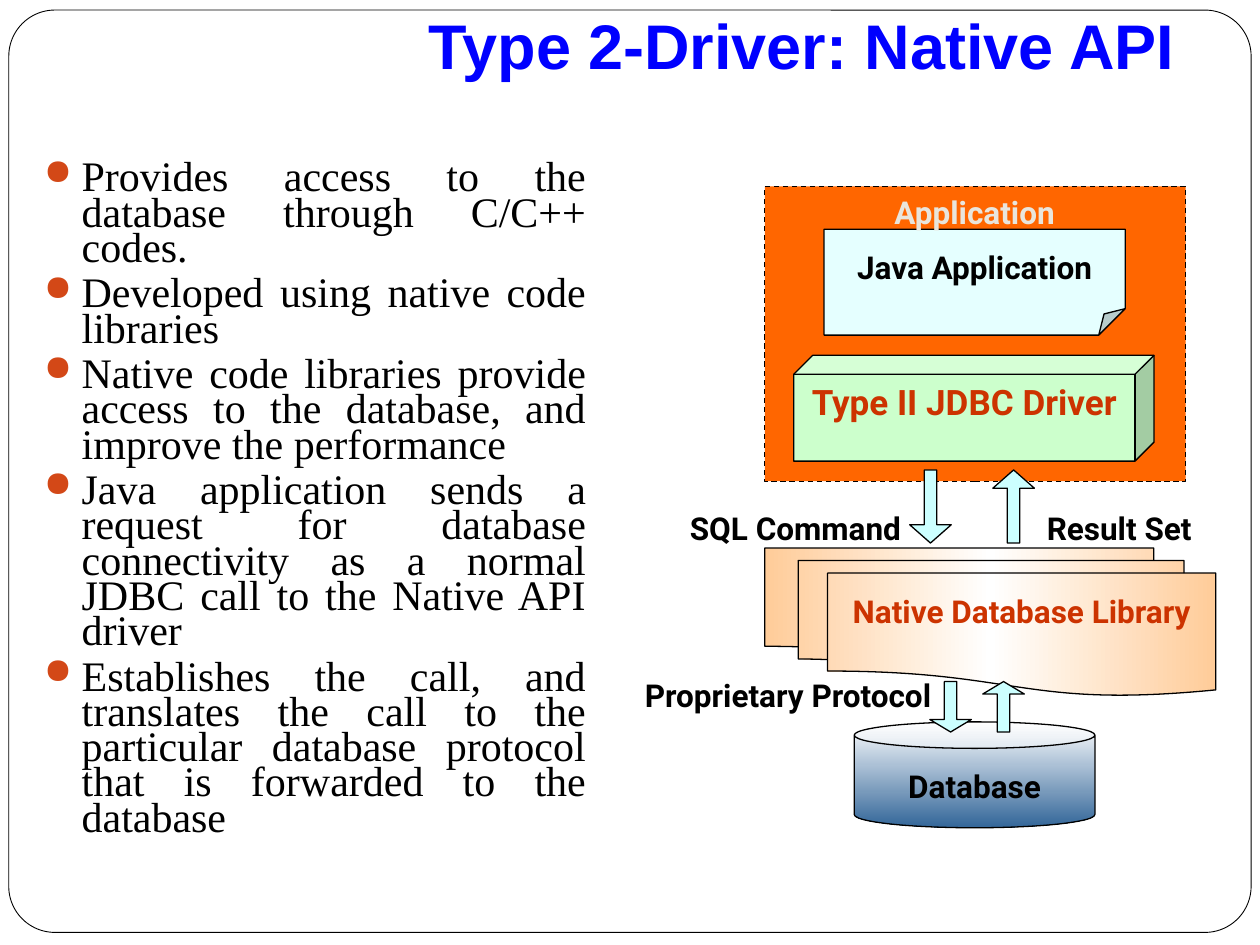
from dataclasses import dataclass
from typing import Optional

from lxml.etree import SubElement
from pptx import Presentation
from pptx.dml.color import RGBColor
from pptx.enum.dml import MSO_LINE
from pptx.enum.shapes import MSO_SHAPE as Shp
from pptx.enum.text import MSO_ANCHOR as Anchor, PP_ALIGN as Align
from pptx.oxml.ns import qn
from pptx.util import Emu, Inches, Pt

COLS, ROWS = 100, 75  # grid laid over the slide


@dataclass(frozen=True)
class Theme:
    black: str = "000000"
    white: str = "FFFFFF"
    title: str = "0000FF"
    bullet: str = "D34817"
    accent: str = "CC3300"
    muted: str = "E9E5DC"
    app: str = "FF6600"
    note: str = "E5FFFF"
    driver: str = "CCFFCC"
    arrow: str = "CCFFFF"
    library: tuple = ("FFCC99", "FFFFFF", "FFCC99")
    database: tuple = ("FFFFFF", "336699")
    head_font: str = "Arial"
    body_font: str = "Times New Roman"
    label_font: str = "Roboto"
    title_size: int = 36
    body_size: int = 24
    driver_size: int = 20
    label_size: int = 18


T = Theme()


@dataclass(frozen=True)
class Box:
    col: float
    row: float
    cols: float
    rows: float


@dataclass(frozen=True)
class Label:
    text: str
    color: str = T.black
    size: int = T.label_size
    align: Align = Align.CENTER
    top: float = 0.05  # inset in inches


@dataclass(frozen=True)
class Node:
    kind: Shp
    box: Box
    fill: str | tuple
    label: Optional[Label] = None
    adj: tuple = ()
    angle: int = 0
    flip: str = ""
    dashed: bool = False
    weight: float = 0.75


def rgb(color: str) -> RGBColor:
    return RGBColor.from_string(color)


def place(prs, box: Box) -> tuple:
    dx, dy = prs.slide_width / COLS, prs.slide_height / ROWS
    return tuple(Emu(round(n)) for n in
                 (box.col * dx, box.row * dy, box.cols * dx, box.rows * dy))


def add_run(p, text: str, font: str, size: int, color: str, bold: bool = True) -> None:
    r = p.add_run()
    r.text = text
    r.font.name, r.font.size, r.font.bold = font, Pt(size), bold
    r.font.color.rgb = rgb(color)


def write_label(tf, label: Label) -> None:
    tf.word_wrap = True
    tf.vertical_anchor = Anchor.TOP
    tf.margin_top = Inches(label.top)
    p = tf.paragraphs[0]
    p.alignment = label.align
    add_run(p, label.text, T.label_font, label.size, label.color)


def set_gradient(s, colors: tuple, angle: int) -> None:
    s.fill.gradient()
    s.fill.gradient_angle = angle
    stops = s.element.spPr.find(".//" + qn("a:gsLst"))
    for stop in list(stops):
        stops.remove(stop)
    for i, color in enumerate(colors):
        stop = SubElement(stops, qn("a:gs"), pos=str(i * 100000 // (len(colors) - 1)))
        SubElement(stop, qn("a:srgbClr"), val=color)


def set_adjustments(s, values: tuple) -> None:
    # Written as XML because the folded corner exposes no adjustments
    guides = s.element.spPr.find(".//" + qn("a:avLst"))
    for guide in list(guides):
        guides.remove(guide)
    for i, value in enumerate(values, 1):
        name = f"adj{i}" if len(values) > 1 else "adj"
        SubElement(guides, qn("a:gd"), name=name, fmla=f"val {round(value * 100000)}")


def draw_node(prs, slide, node: Node) -> None:
    s = slide.shapes.add_shape(node.kind, *place(prs, node.box))
    s.shadow.inherit = False
    if node.adj:
        set_adjustments(s, node.adj)
    if isinstance(node.fill, tuple):
        set_gradient(s, node.fill, node.angle)
    else:
        s.fill.solid()
        s.fill.fore_color.rgb = rgb(node.fill)
    s.line.color.rgb = rgb(T.black)
    s.line.width = Pt(node.weight)
    if node.dashed:
        s.line.dash_style = MSO_LINE.DASH
    if node.flip:
        s.element.spPr.find(qn("a:xfrm")).set(node.flip, "1")
    if node.label:
        write_label(s.text_frame, node.label)


def draw_label(prs, slide, box: Box, label: Label) -> None:
    write_label(slide.shapes.add_textbox(*place(prs, box)).text_frame, label)


def draw_title(prs, slide, text: str) -> None:
    tf = slide.shapes.add_textbox(*place(prs, Box(10, 0, 84.2, 7.5))).text_frame
    tf.word_wrap = True
    tf.vertical_anchor = Anchor.BOTTOM
    tf.margin_bottom = Inches(0.1)
    p = tf.paragraphs[0]
    p.alignment = Align.RIGHT
    add_run(p, text, T.head_font, T.title_size, T.title)


def draw_bullets(prs, slide, items: tuple) -> None:
    tf = slide.shapes.add_textbox(*place(prs, Box(2.5, 12.5, 45, 55.8))).text_frame
    tf.word_wrap = True
    for i, text in enumerate(items):
        p = tf.add_paragraph() if i else tf.paragraphs[0]
        p.alignment = Align.JUSTIFY
        p.line_spacing, p.space_before = 0.7, Pt(5.8)
        add_run(p, text, T.body_font, T.body_size, T.black, bold=False)
        pPr = p._p.get_or_add_pPr()
        pPr.set("marL", str(Inches(0.3)))
        pPr.set("indent", str(-Inches(0.3)))
        SubElement(SubElement(pPr, qn("a:buClr")), qn("a:srgbClr"), val=T.bullet)
        SubElement(pPr, qn("a:buSzPct"), val="85000")
        SubElement(pPr, qn("a:buChar"), char="●")


FRAME = Node(Shp.ROUNDED_RECTANGLE, Box(0.7, 0.8, 98.6, 73.2), T.white,
             adj=(0.05,), weight=0.5)
BULLETS = (
    "Provides access to the database through C/C++ codes.",
    "Developed using native code libraries",
    "Native code libraries provide access to the database, and improve the performance",
    "Java application sends a request for database connectivity as a normal JDBC call "
    "to the Native API driver",
    "Establishes the call, and translates the call to the particular database protocol "
    "that is forwarded to the database",
)
LAYERS = (
    Node(Shp.RECTANGLE, Box(60.7, 14.8, 33.4, 23.4), T.app, dashed=True),
    Node(Shp.FOLDED_CORNER, Box(65.4, 18.2, 23.9, 8.4), T.note,
         Label("Java Application", top=0.15), adj=(0.25,)),
    Node(Shp.CUBE, Box(63, 28.2, 28.6, 8.4), T.driver,
         Label("Type II JDBC Driver", T.accent, T.driver_size), adj=(0.18,)),
    Node(Shp.CAN, Box(67.8, 57.3, 19.1, 8.4), T.database,
         Label("Database", top=0.15), adj=(0.25,), angle=270),
    Node(Shp.FLOWCHART_MULTIDOCUMENT, Box(60.7, 43.5, 35.8, 11.7), T.library,
         Label("Native Database Library", T.accent, top=0.15), flip="flipH"),
)
LABELS = (
    (Box(46.3, 39.9, 26.2, 3.3), Label("SQL Command", align=Align.RIGHT)),
    (Box(82.1, 39.9, 16.7, 3.3), Label("Result Set", align=Align.LEFT)),
    (Box(65.4, 14.8, 23.9, 3.4), Label("Application", T.muted)),
    (Box(46.3, 53.2, 28.6, 3.4), Label("Proprietary Protocol", align=Align.RIGHT)),
)
# Each pair: top row, height, head length, column going down, column going up
ARROW_PAIRS = ((37.3, 5.8, 0.44, 72.2, 78.8), (54.1, 4, 0.3, 73.8, 78))


def main() -> None:
    prs = Presentation()
    prs.slide_width, prs.slide_height = Inches(10), Inches(7.5)
    slide = prs.slides.add_slide(prs.slide_layouts[6])
    # Frame and text
    draw_node(prs, slide, FRAME)
    draw_title(prs, slide, "Type 2-Driver: Native API")
    draw_bullets(prs, slide, BULLETS)
    # Driver architecture
    for node in LAYERS:
        draw_node(prs, slide, node)
    for box, label in LABELS:
        draw_label(prs, slide, box, label)
    # Request and reply arrows
    for row, rows, head, down, up in ARROW_PAIRS:
        for col, flip in ((down, ""), (up, "flipV")):
            draw_node(prs, slide, Node(Shp.DOWN_ARROW, Box(col, row, 3.3, rows), T.arrow,
                                       adj=(0.3, head), flip=flip))
    prs.save("out.pptx")


if __name__ == "__main__":
    main()
